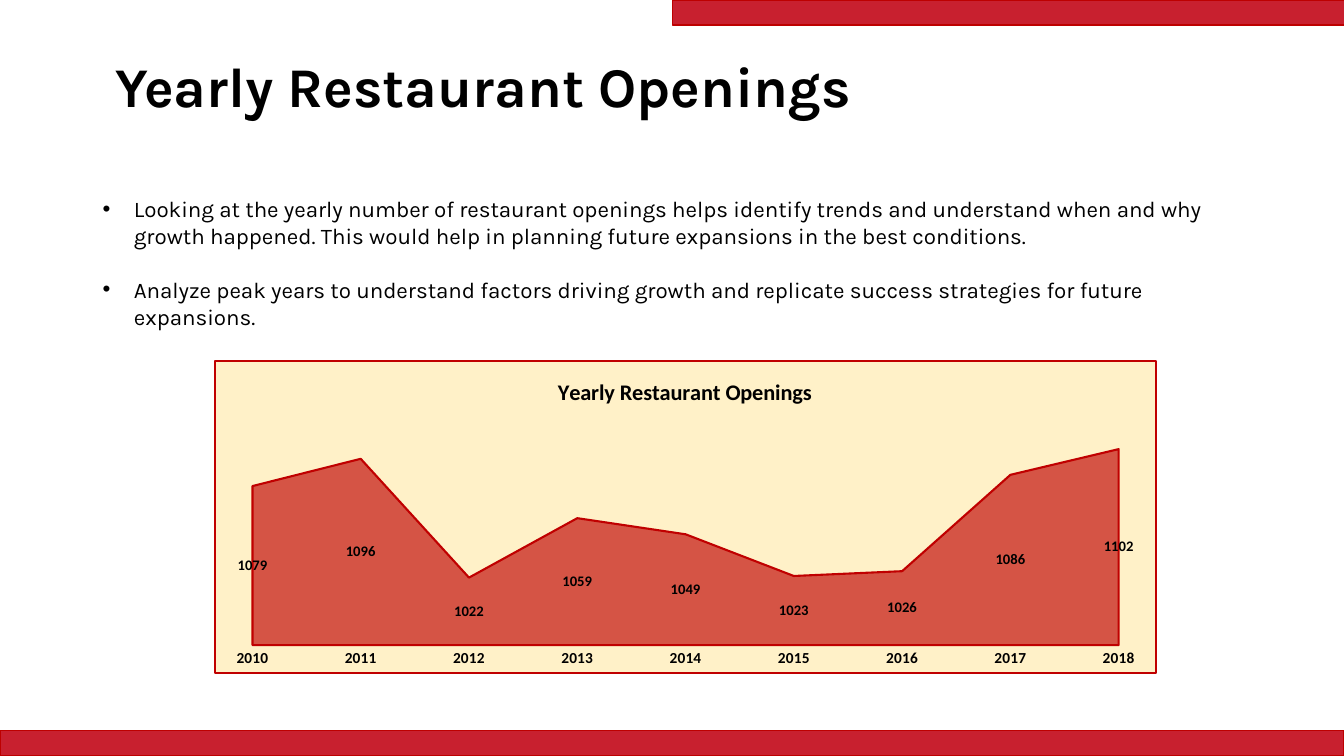
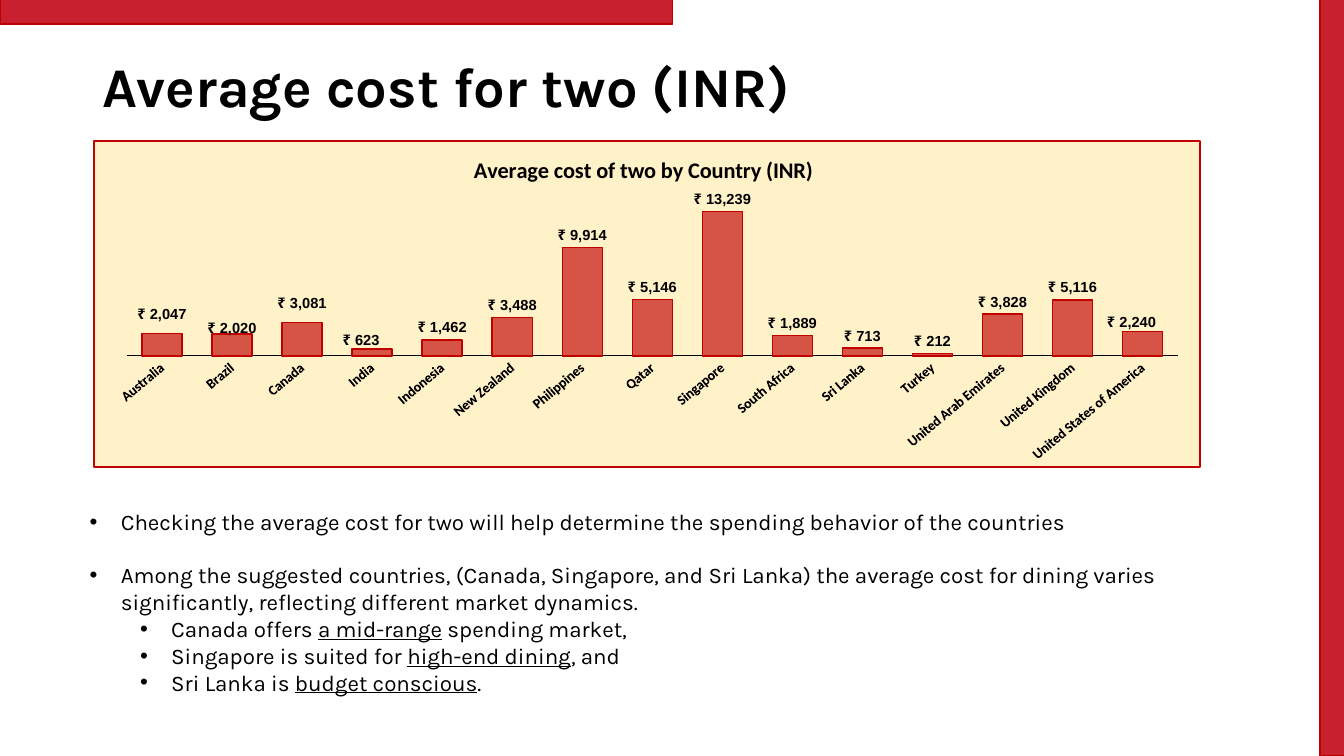
"""Build two slides on restaurant openings and average cost for two."""
import pptx
import pptx.chart.data
import pptx.dml.color
import pptx.enum.chart
import pptx.enum.shapes
import pptx.enum.text
import pptx.oxml
import pptx.oxml.ns
import pptx.util
from lxml import etree

Inches, Pt = pptx.util.Inches, pptx.util.Pt
RGB = pptx.dml.color.RGBColor.from_string
qn = pptx.oxml.ns.qn
XL = pptx.enum.chart

THEME = {
    "text": "000000", "band": "C8202F", "band_line": "BD0000",
    "series": "C00000", "panel": "FFEBAB", "alpha": 65000,
    "font": "Karla", "chart_font": "Calibri", "label_font": "Arial",
    "title": 40, "body": 16, "paragraph_gap": 19, "chart_title": 16, "label": 10.5,
    "indent": 0.31, "level_step": 0.5,
}
RUPEES = '"₹"\\ #,##0'

SLIDES = [
    {
        "title": ("Yearly Restaurant Openings", 1.05),
        "bands": [(0, 7.25, 13.33, 0.25), (6.67, 0, 6.67, 0.25)],
        "body_box": (0.92, 1.89, 11.77, 1.18),
        "body": [
            (0, True, ["Looking at the yearly number of restaurant openings helps identify trends and "
                       "understand when and why growth happened. This would help in planning future "
                       "expansions in the best conditions."]),
            (0, False, ["Analyze peak years to understand factors driving growth and replicate success "
                        "strategies for future expansions."]),
        ],
        "chart": {
            "type": XL.XL_CHART_TYPE.AREA, "box": (2.12, 3.57, 9.36, 3.12),
            "title": "Yearly Restaurant Openings", "title_at": (0.36, 0.04),
            "plot": (0.04, 0.19, 0.92, 0.72), "range": (980, 1120), "format": "General",
            "label_font": THEME["chart_font"], "axis_size": 11, "line": 1.5,
            "data": {"2010": 1079, "2011": 1096, "2012": 1022, "2013": 1059, "2014": 1049,
                     "2015": 1023, "2016": 1026, "2017": 1086, "2018": 1102},
        },
    },
    {
        "title": ("Average cost for two (INR)", 0.92),
        "bands": [(0, -0.01, 6.67, 0.25), (13.09, -0.01, 0.25, 7.51)],
        "body_box": (0.79, 4.99, 11.62, 1.99),
        "body": [
            (0, True, ["Checking the average cost for two will help determine the spending behavior "
                       "of the countries"]),
            (0, False, ["Among the suggested countries, (Canada, Singapore, and Sri Lanka) the average "
                        "cost for dining varies significantly, reflecting different market dynamics."]),
            (1, False, ["Canada offers ", "a mid-range", " spending market,"]),
            (1, False, ["Singapore is suited for ", "high-end dining", ", and"]),
            (1, False, ["Sri Lanka is ", "budget conscious", "."]),
        ],
        "chart": {
            "type": XL.XL_CHART_TYPE.COLUMN_CLUSTERED, "box": (0.92, 1.39, 10.99, 3.25),
            "title": "Average cost of two by Country (INR)", "title_at": (0.34, 0.03),
            "plot": (0.03, 0.19, 0.95, 0.47), "range": (0, 14000), "format": RUPEES,
            "label_font": THEME["label_font"], "axis_size": 10, "line": 1,
            "gap": 75, "rotation": -40,
            "label_shifts": {0: (0, -0.02), 1: (0, 0.02), 2: (0, -0.02),
                             3: (-0.01, 0.01), 14: (-0.01, 0.01)},
            "data": {"Australia": 2047, "Brazil": 2020, "Canada": 3081, "India": 623,
                     "Indonesia": 1462, "New Zealand": 3488, "Philippines": 9914, "Qatar": 5146,
                     "Singapore": 13239, "South Africa": 1889, "Sri Lanka": 713, "Turkey": 212,
                     "United Arab Emirates": 3828, "United Kingdom": 5116,
                     "United States of America": 2240},
        },
    },
]


def style_font(font, size, name, bold=False):
    font.size, font.name, font.bold = Pt(size), name, bold
    font.color.rgb = RGB(THEME["text"])


def add_band(s, box):
    sp = s.shapes.add_shape(pptx.enum.shapes.MSO_SHAPE.RECTANGLE, *map(Inches, box))
    sp.shadow.inherit = False
    sp.fill.solid()
    sp.fill.fore_color.rgb = RGB(THEME["band"])
    sp.line.color.rgb = RGB(THEME["band_line"])
    sp.line.width = Pt(1)


def add_text_box(s, box):
    tf = s.shapes.add_textbox(*map(Inches, box)).text_frame
    tf.word_wrap = True
    return tf


def add_title(s, text, left):
    tf = add_text_box(s, (left, 0.4, 11.5, 0.98))
    tf.vertical_anchor = pptx.enum.text.MSO_ANCHOR.MIDDLE
    p = tf.paragraphs[0]
    p.line_spacing = 0.9
    r = p.add_run()
    r.text = text
    style_font(r.font, THEME["title"], THEME["font"], True)


def add_body(s, box, items):
    tf = add_text_box(s, box)
    for i, (level, gap_after, runs) in enumerate(items):
        p = tf.add_paragraph() if i else tf.paragraphs[0]
        p.level = level
        p.space_after = Pt(THEME["paragraph_gap"] if gap_after else 0)
        pPr = p._p.get_or_add_pPr()
        pPr.set("marL", str(Inches(THEME["indent"] + level * THEME["level_step"])))
        pPr.set("indent", str(-Inches(THEME["indent"])))
        etree.SubElement(pPr, qn("a:buFont")).set("typeface", "Arial")
        etree.SubElement(pPr, qn("a:buChar")).set("char", "•")
        for j, text in enumerate(runs):
            r = p.add_run()
            r.text = text
            style_font(r.font, THEME["body"], THEME["font"])
            r.font.underline = j % 2 == 1


def set_layout(parent, index, x, y, w=None, h=None, edge=True):
    for old in parent.findall(qn("c:layout")):
        parent.remove(old)
    layout = etree.Element(qn("c:layout"))
    manual = etree.SubElement(layout, qn("c:manualLayout"))
    settings = [("layoutTarget", "inner")] if w else []
    if edge:
        settings += [("xMode", "edge"), ("yMode", "edge")]
    settings += [("x", x), ("y", y)]
    if w:
        settings += [("w", w), ("h", h)]
    for tag, value in settings:
        etree.SubElement(manual, qn("c:" + tag)).set("val", str(value))
    parent.insert(index, layout)


def style_panel(chart):
    space = chart._chartSpace
    if space.find(qn("c:roundedCorners")) is None:
        corners = etree.Element(qn("c:roundedCorners"))
        corners.set("val", "0")
        space.find(qn("c:date1904")).addnext(corners)
    spPr = pptx.oxml.parse_xml(
        f'<c:spPr {pptx.oxml.ns.nsdecls("c", "a")}><a:solidFill><a:srgbClr val="{THEME["panel"]}">'
        f'<a:alpha val="{THEME["alpha"]}"/></a:srgbClr></a:solidFill><a:ln w="{Pt(1.5)}">'
        f'<a:solidFill><a:srgbClr val="{THEME["series"]}"/></a:solidFill></a:ln></c:spPr>')
    space.find(qn("c:chart")).addnext(spPr)


def style_axes(chart, c):
    cat, val = chart.category_axis, chart.value_axis
    for axis in (cat, val):
        axis.has_major_gridlines = False
        axis.major_tick_mark = axis.minor_tick_mark = XL.XL_TICK_MARK.NONE
    style_font(cat.tick_labels.font, c["axis_size"], THEME["chart_font"], True)
    cat.format.line.color.rgb = RGB(THEME["text"])
    cat.format.line.width = Pt(0.75)
    if "rotation" in c:
        body = cat._element.find(qn("c:txPr")).find(qn("a:bodyPr"))
        body.set("rot", str(c["rotation"] * 60000))
        body.set("vert", "horz")
    val.minimum_scale, val.maximum_scale = c["range"]
    val.visible = False


def style_series(series, c):
    fill = series.format.fill
    fill.solid()
    fill.fore_color.rgb = RGB(THEME["series"])
    color = series._element.find(qn("c:spPr")).find(qn("a:solidFill")).find(qn("a:srgbClr"))
    etree.SubElement(color, qn("a:alpha")).set("val", str(THEME["alpha"]))
    series.format.line.color.rgb = RGB(THEME["series"])
    series.format.line.width = Pt(c["line"])
    labels = series.data_labels
    labels.show_value = True
    labels.number_format = c["format"]
    labels.number_format_is_linked = False
    style_font(labels.font, THEME["label"], c["label_font"], True)
    if "gap" in c:
        labels.position = XL.XL_LABEL_POSITION.OUTSIDE_END
        series.invert_if_negative = False
    shifts = c.get("label_shifts", {})
    for i in shifts:
        label = series.points[i].data_label
        style_font(label.font, THEME["label"], c["label_font"], True)
        label.position = XL.XL_LABEL_POSITION.OUTSIDE_END
    for item in series._element.iter(qn("c:dLbl")):
        set_layout(item, 1, *shifts[int(item.find(qn("c:idx")).get("val"))], edge=False)


def add_chart(s, c):
    data = pptx.chart.data.CategoryChartData(number_format=c["format"])
    data.categories = list(c["data"])
    data.add_series("Series 1", list(c["data"].values()))
    chart = s.shapes.add_chart(c["type"], *map(Inches, c["box"]), data).chart
    style_font(chart.font, 10, THEME["chart_font"])
    chart.has_legend = False
    chart.has_title = True
    r = chart.chart_title.text_frame.paragraphs[0].add_run()
    r.text = c["title"]
    style_font(r.font, THEME["chart_title"], THEME["chart_font"], True)
    set_layout(chart.chart_title._element, 1, *c["title_at"])
    plot = chart.plots[0]
    plot.vary_by_categories = False
    if "gap" in c:
        plot.gap_width = c["gap"]
    else:
        for cross in chart._chartSpace.iter(qn("c:crossBetween")):
            cross.set("val", "midCat")
    style_axes(chart, c)
    style_series(plot.series[0], c)
    set_layout(chart._chartSpace.find(qn("c:chart")).find(qn("c:plotArea")), 0, *c["plot"])
    style_panel(chart)


def main():
    prs = pptx.Presentation()
    prs.slide_width, prs.slide_height = Inches(13.33), Inches(7.5)
    for content in SLIDES:
        s = prs.slides.add_slide(prs.slide_layouts[6])
        for box in content["bands"]:
            add_band(s, box)
        add_title(s, *content["title"])
        add_body(s, content["body_box"], content["body"])
        add_chart(s, content["chart"])
    prs.save("out.pptx")


if __name__ == "__main__":
    main()
